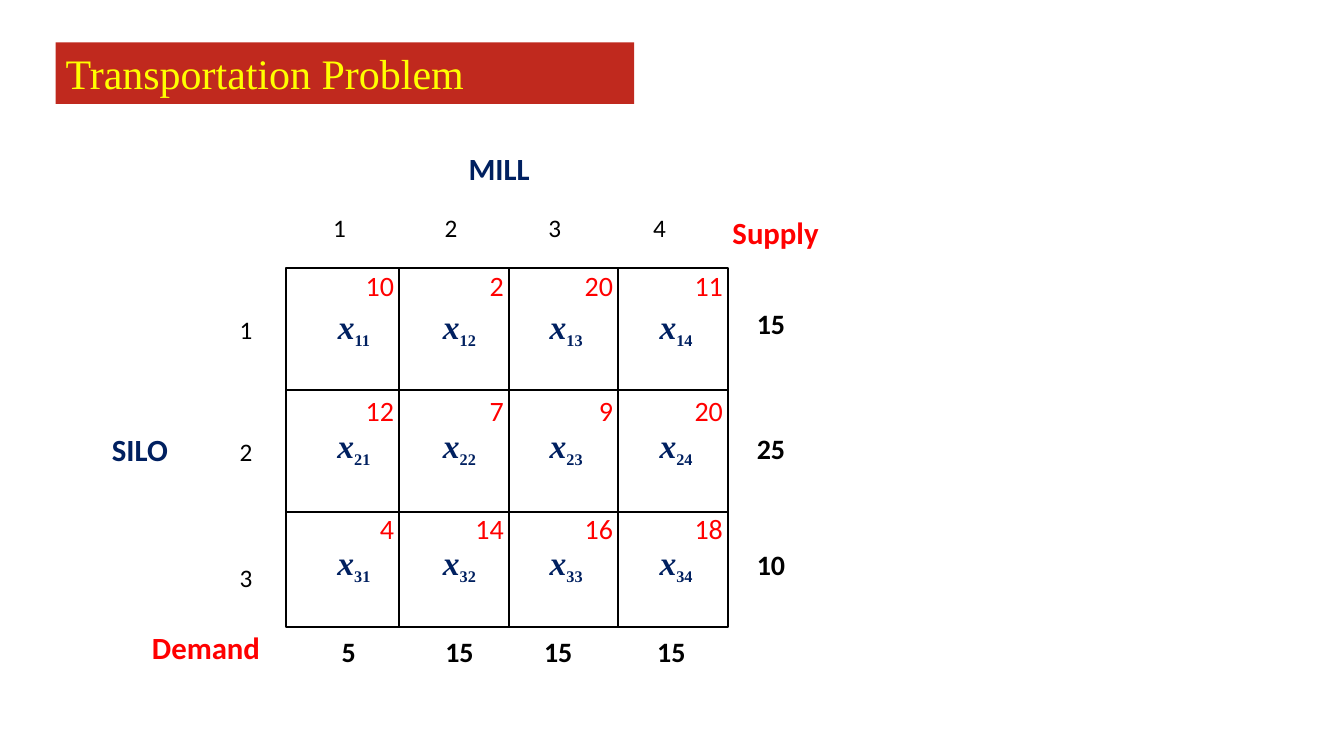
import itertools

import pptx
import pptx.dml.color
import pptx.enum.shapes
import pptx.enum.text
import pptx.util

Cm = pptx.util.Cm
ALIGN = pptx.enum.text.PP_ALIGN
ANCHOR = pptx.enum.text.MSO_ANCHOR

RED, NAVY, BLACK = "FF0000", "002060", "000000"
COLUMN_WIDTHS = (2.84, 2.77, 2.75, 2.77)
ROW_HEIGHTS = (3.07, 3.07, 2.9)
COSTS = ((10, 2, 20, 11), (12, 7, 9, 20), (4, 14, 16, 18))
SUPPLY = (15, 25, 10)
DEMAND = (5, 15, 15, 15)

# Text centres in cm, from the left of each column or the top of each row
MILL_X = (1.35, 1.32, 1.16, 1.05)
DEMAND_X = (1.58, 1.53, 1.25, 1.35)
VARIABLE_X = (1.71, 1.53, 1.45, 1.47)
VARIABLE_Y = (1.5, 1.42, 1.3)
COST_Y = (0.43, 0.51, 0.41)
SILO_Y = (1.53, 1.54, 1.64)
SUPPLY_Y = (1.38, 1.46, 1.31)


def rgb(value):
    return pptx.dml.color.RGBColor.from_string(value)


def format_font(font, size, color, name="Calibri", bold=False, italic=False):
    font.name, font.size, font.bold, font.italic = name, pptx.util.Pt(size), bold, italic
    font.color.rgb = rgb(color)


def add_text(page, box, text, size, color, bold=False, align=ALIGN.CENTER, anchor=ANCHOR.MIDDLE):
    frame = page.shapes.add_textbox(*map(Cm, box)).text_frame
    frame.word_wrap = True
    frame.vertical_anchor = anchor
    para = frame.paragraphs[0]
    para.text = str(text)
    para.alignment = align
    for span in para.runs:
        format_font(span.font, size, color, bold=bold)
    return para


def add_centred(page, x, y, text, size, bold=False):
    add_text(page, (x - 0.7, y - 0.88, 1.4, 1.76), text, size, BLACK, bold)


def add_title(page, box):
    title = page.shapes.title
    title.left, title.top, title.width, title.height = map(Cm, box)
    title.fill.solid()
    title.fill.fore_color.rgb = rgb("C0291E")
    frame = title.text_frame
    frame.text = "Transportation Problem"
    frame.auto_size = pptx.enum.text.MSO_AUTO_SIZE.NONE
    frame.vertical_anchor = ANCHOR.TOP
    para = frame.paragraphs[0]
    para.alignment = ALIGN.LEFT
    format_font(para.runs[0].font, 30, "FFFF00", "Times New Roman")


def add_cell(page, box, row, column):
    """Draw one outlined cell with its cost in the corner and its variable."""
    left, top, width, height = box
    cell = page.shapes.add_shape(pptx.enum.shapes.MSO_SHAPE.RECTANGLE, *map(Cm, box))
    cell.shadow.inherit = False
    cell.fill.background()
    cell.line.color.rgb = rgb(BLACK)
    cell.line.width = pptx.util.Pt(1.5)

    cost_box = (left + width - 1.27, top + COST_Y[row] - 0.55, 1.4, 1.1)
    add_text(page, cost_box, COSTS[row][column], 20, RED, align=ALIGN.RIGHT)

    x, y = left + VARIABLE_X[column], top + VARIABLE_Y[row]
    para = add_text(page, (x - 0.83, y - 0.6, 1.66, 1.2), "x", 24, NAVY)
    format_font(para.runs[0].font, 24, NAVY, "Times New Roman", True, True)
    index = para.add_run()
    index.text = f"{row + 1}{column + 1}"
    format_font(index.font, 20, NAVY, "Times New Roman", True)
    index.font._element.set("baseline", "-25000")


def add_transport_grid(page, left, top):
    """Draw the silo-by-mill grid from its top left corner, with its margins."""
    column_edges = list(itertools.accumulate(COLUMN_WIDTHS, initial=left))
    row_edges = list(itertools.accumulate(ROW_HEIGHTS, initial=top))
    right, bottom = column_edges[-1], row_edges[-1]

    for row, height in enumerate(ROW_HEIGHTS):
        for column, width in enumerate(COLUMN_WIDTHS):
            add_cell(page, (column_edges[column], row_edges[row], width, height), row, column)

    for column, demand in enumerate(DEMAND):
        edge = column_edges[column]
        add_centred(page, edge + MILL_X[column], top - 1.04, column + 1, 18)
        add_centred(page, edge + DEMAND_X[column], bottom + 0.61, demand, 20, True)

    for row, supply in enumerate(SUPPLY):
        edge = row_edges[row]
        add_centred(page, left - 1.01, edge + SILO_Y[row], row + 1, 18)
        add_centred(page, right + 1.09, edge + SUPPLY_Y[row], supply, 20, True)

    labels = (
        ("SILO", -4.64, 3.96, 2.11, NAVY),
        ("MILL", 4.35, -3.1, 2.11, NAVY),
        ("Supply", 11, -1.5, 3.18, RED),
        ("Demand", -3.63, 8.96, 3.66, RED),
    )
    for text, x, y, width, color in labels:
        add_text(page, (left + x, top + y, width, 1.19), text, 22, color, True,
                 ALIGN.LEFT, ANCHOR.TOP)


def main():
    deck = pptx.Presentation()
    deck.slide_width, deck.slide_height = Cm(33.87), Cm(19.05)
    page = deck.slides.add_slide(deck.slide_layouts.get_by_name("Title Only"))
    add_title(page, (1.4, 1.07, 14.58, 1.55))
    add_transport_grid(page, 7.21, 6.76)
    deck.save("out.pptx")


if __name__ == "__main__":
    main()
